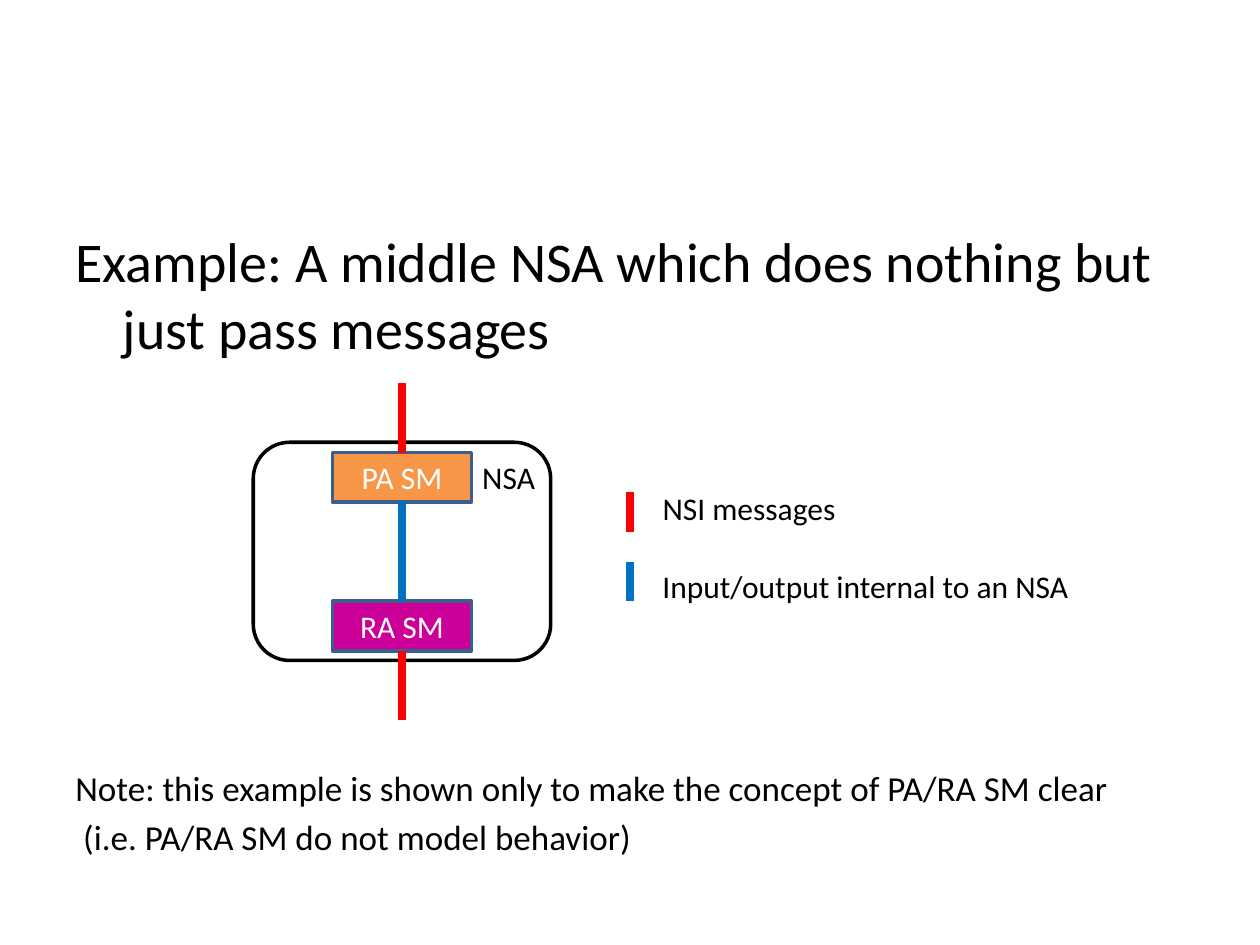
from dataclasses import dataclass

from pptx import Presentation
from pptx import util as u
from pptx.dml.color import RGBColor
from pptx.enum import shapes, text
from pptx.oxml.ns import qn
from lxml import etree

Pt = u.Pt
ALIGN = text.PP_ALIGN
ANCHOR = text.MSO_ANCHOR


@dataclass(frozen=True)
class Theme:
    font: str = "Calibri"
    black: str = "000000"
    white: str = "FFFFFF"
    orange: str = "F79646"
    magenta: str = "CC0099"
    edge: str = "3A5F8C"
    message: str = "FF0000"
    internal: str = "0070C0"
    heading_size: float = 32
    note_size: float = 20
    label_size: float = 18
    outline: float = 2
    link: float = 4.5


class Sketch:
    """Holds the theme and the current page, and draws each kind of element."""

    def __init__(self, page, theme):
        self.page = page
        self.theme = theme

    def fill_text(self, frame, lines, size, color, align=ALIGN.LEFT, gap=0, hang=0):
        for index, line in enumerate(lines):
            para = frame.paragraphs[0] if index == 0 else frame.add_paragraph()
            para.alignment = align
            para.space_before = Pt(gap if index else 0)
            if hang:
                properties = para._p.get_or_add_pPr()
                properties.set("marL", str(Pt(hang)))
                properties.set("indent", str(Pt(-hang)))
            span = para.add_run()
            span.text = line
            for name, value in {"name": self.theme.font, "size": Pt(size)}.items():
                setattr(span.font, name, value)
            span.font.color.rgb = RGBColor.from_string(color)

    def shape(self, kind, area, label, fill, edge, color, align, anchor):
        box = self.page.shapes.add_shape(kind, *map(Pt, area))
        box.shadow.inherit = False
        if fill:
            box.fill.solid()
            box.fill.fore_color.rgb = RGBColor.from_string(fill)
        else:
            box.fill.background()
        box.line.color.rgb = RGBColor.from_string(edge)
        box.line.width = Pt(self.theme.outline)
        frame = box.text_frame
        margins = {f"margin_{side}": Pt(2.88) for side in ("left", "top", "right", "bottom")}
        for name, value in {**margins, "vertical_anchor": anchor, "word_wrap": True}.items():
            setattr(frame, name, value)
        self.fill_text(frame, [label], self.theme.label_size, color, align)

    def link(self, x, top, bottom, color):
        line = self.page.shapes.add_connector(
            shapes.MSO_CONNECTOR.STRAIGHT, Pt(x), Pt(top), Pt(x), Pt(bottom))
        line.line.color.rgb = RGBColor.from_string(color)
        line.line.width = Pt(self.theme.link)
        etree.SubElement(line._element.spPr, qn("a:effectLst"))

    def textbox(self, area, lines, size, wrap=True, **style):
        box = self.page.shapes.add_textbox(*map(Pt, area))
        box.text_frame.word_wrap = wrap
        self.fill_text(box.text_frame, lines, size, self.theme.black, **style)


def main():
    theme = Theme()
    deck = Presentation()
    deck.slide_width, deck.slide_height = Pt(720), Pt(540)
    sketch = Sketch(deck.slides.add_slide(deck.slide_layouts[6]), theme)

    # Agent frame
    sketch.shape(shapes.MSO_SHAPE.ROUNDED_RECTANGLE, (144.7, 252.7, 170, 124.7), "NSA",
                 None, theme.black, theme.black, ALIGN.RIGHT, ANCHOR.TOP)

    # State machines, centred on one axis
    axis, width, height = 229.7, 79.4, 28.4
    provider_top, requester_top = 258.6, 343.6
    for label, top, fill in (("PA SM", provider_top, theme.orange),
                             ("RA SM", requester_top, theme.magenta)):
        sketch.shape(shapes.MSO_SHAPE.RECTANGLE, (axis - width / 2, top, width, height),
                     label, fill, theme.edge, theme.white, ALIGN.CENTER, ANCHOR.MIDDLE)

    # Links: messages outside, input/output inside
    reach = 39.7
    requester_end = requester_top + height
    sketch.link(axis, provider_top - reach, provider_top, theme.message)
    sketch.link(axis, requester_end, requester_end + reach, theme.message)
    sketch.link(axis, provider_top + height, requester_top, theme.internal)

    # Legend
    for label, top, label_top, label_width, color in (
            ("NSI messages", 281.3, 275.8, 118.8, theme.message),
            ("Input/output internal to an NSA", 321, 320.4, 249.1, theme.internal)):
        sketch.link(360, top, top + 22.6, color)
        sketch.textbox((371.5, label_top, label_width, 29), [label],
                       theme.label_size, wrap=False)

    # Heading and note
    sketch.textbox((36, 126, 648, 87), [
        "Example: A middle NSA which does nothing but just pass messages",
    ], theme.heading_size, hang=27)
    sketch.textbox((36, 434.2, 648, 85), [
        "Note: this example is shown only to make the concept of PA/RA SM clear",
        " (i.e. PA/RA SM do not model behavior)",
    ], theme.note_size, gap=4)

    deck.save("out.pptx")


if __name__ == "__main__":
    main()
